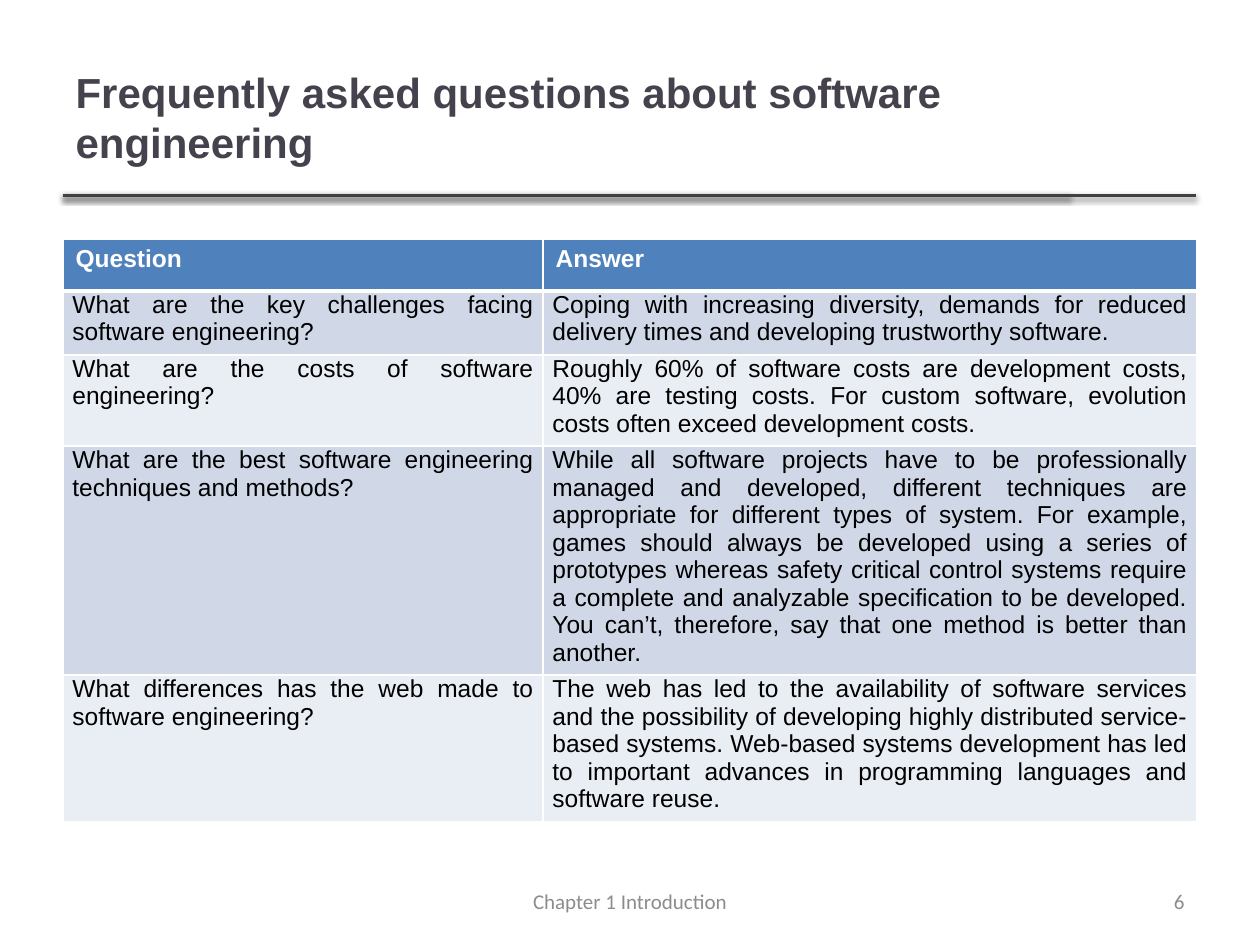
"""Build the software engineering FAQ slide."""
from pptx import Presentation
from pptx import oxml
from pptx.dml.color import RGBColor
from pptx.enum import shapes, text
from pptx.oxml import ns
from pptx.util import Pt

WHITE = RGBColor(0xFF, 0xFF, 0xFF)
BLACK = RGBColor(0, 0, 0)
TITLE = RGBColor(0x46, 0x42, 0x4D)
RULE = RGBColor(0x40, 0x40, 0x40)
FOOTER = RGBColor(0x8C, 0x8C, 0x8C)
HEADER = RGBColor(0x4F, 0x81, 0xBD)
BANDS = (RGBColor(0xD0, 0xD8, 0xE8), RGBColor(0xE9, 0xED, 0xF4))

LEFT = 36
ROW_HEIGHT = 29.5
FAQ = [
    ("Question", "Answer"),
    ("What are the key challenges facing software engineering?",
     "Coping with increasing diversity, demands for reduced delivery times and "
     "developing trustworthy software."),
    ("What are the costs of software engineering?",
     "Roughly 60% of software costs are development costs, 40% are testing costs. "
     "For custom software, evolution costs often exceed development costs."),
    ("What are the best software engineering techniques and methods?",
     "While all software projects have to be professionally managed and developed, "
     "different techniques are appropriate for different types of system. For example, "
     "games should always be developed using a series of prototypes whereas safety "
     "critical control systems require a complete and analyzable specification to be "
     "developed. You can’t, therefore, say that one method is better than another."),
    ("What differences has the web made to software engineering?",
     "The web has led to the availability of software services and the possibility of "
     "developing highly distributed service-based systems. Web-based systems development "
     "has led to important advances in programming languages and software reuse."),
]


def set_font(p, name, size, color, bold=False):
    p.font.name, p.font.size, p.font.bold = name, Pt(size), bold
    p.font.color.rgb = color


def place(sp, left, top, width, height):
    sp.left, sp.top, sp.width, sp.height = Pt(left), Pt(top), Pt(width), Pt(height)


def add_rule(s, right, y=111.6):
    line = s.shapes.add_connector(
        shapes.MSO_CONNECTOR.STRAIGHT, Pt(LEFT), Pt(y), Pt(right), Pt(y))
    line.line.color.rgb, line.line.width = RULE, Pt(2)
    line._element.spPr.append(oxml.parse_xml(
        f'<a:effectLst {ns.nsdecls("a")}>'
        f'<a:outerShdw blurRad="{Pt(3.1)}" dist="{Pt(1.6)}" dir="5400000" rotWithShape="0">'
        '<a:srgbClr val="000000"><a:alpha val="38000"/></a:srgbClr>'
        '</a:outerShdw></a:effectLst>'))


def add_title(s, content):
    sp = s.shapes.title
    place(sp, LEFT, 21.6, 574.6, 90)
    tf = sp.text_frame
    tf.text = content
    tf.auto_size = text.MSO_AUTO_SIZE.NONE
    tf.vertical_anchor = text.MSO_ANCHOR.MIDDLE
    p = tf.paragraphs[0]
    p.alignment = text.PP_ALIGN.LEFT
    set_font(p, "Arial", 24, TITLE, True)


def add_footer(s, content, left, width, align):
    tf = s.shapes.add_textbox(Pt(left), Pt(500.4), Pt(width), Pt(28.8)).text_frame
    tf.word_wrap = True
    tf.vertical_anchor = text.MSO_ANCHOR.MIDDLE
    p = tf.paragraphs[0]
    p.text, p.alignment = content, align
    set_font(p, "Calibri", 12, FOOTER)


def set_borders(cell, **widths):
    tc_pr = cell._tc.get_or_add_tcPr()
    for i, (side, width) in enumerate(widths.items()):
        tc_pr.insert(i, oxml.parse_xml(
            f'<a:ln{side} {ns.nsdecls("a")} w="{Pt(width)}"><a:solidFill>'
            f'<a:srgbClr val="{WHITE}"/></a:solidFill></a:ln{side}>'))


def fill_cell(cell, content, row):
    header = row == 0
    cell.text = content
    cell.fill.solid()
    cell.fill.fore_color.rgb = HEADER if header else BANDS[(row - 1) % 2]
    p = cell.text_frame.paragraphs[0]
    set_font(p, "Arial", 14, WHITE if header else BLACK, header)
    if not header:
        p.alignment = text.PP_ALIGN.JUSTIFY
        cell.margin_left = cell.margin_right = Pt(5.4)
        cell.margin_top, cell.margin_bottom = Pt(0), Pt(5)
    set_borders(cell, L=1, R=1, T=3 if row == 1 else 1, B=3 if header else 1)


def add_faq_table(s):
    frame = s.shapes.add_table(len(FAQ), 2, Pt(LEFT), Pt(136.8), Pt(648), Pt(353.5))
    table = frame.table
    for column, width in zip(table.columns, (274.3, 373.7)):
        column.width = Pt(width)
    for r, answers in enumerate(FAQ):
        table.rows[r].height = Pt(ROW_HEIGHT)
        for c, content in enumerate(answers):
            fill_cell(table.cell(r, c), content, r)
    frame.height = Pt(353.5)


def main():
    prs = Presentation()
    prs.slide_width, prs.slide_height = Pt(720), Pt(540)
    s = prs.slides.add_slide(prs.slide_layouts[5])
    for right in (611.3, 683.3):
        add_rule(s, right)
    add_title(s, "Frequently asked questions about software engineering")
    add_faq_table(s)
    add_footer(s, "Chapter 1 Introduction", 246, 228, text.PP_ALIGN.CENTER)
    add_footer(s, "6", 516, 168, text.PP_ALIGN.RIGHT)
    prs.save("out.pptx")


main()
